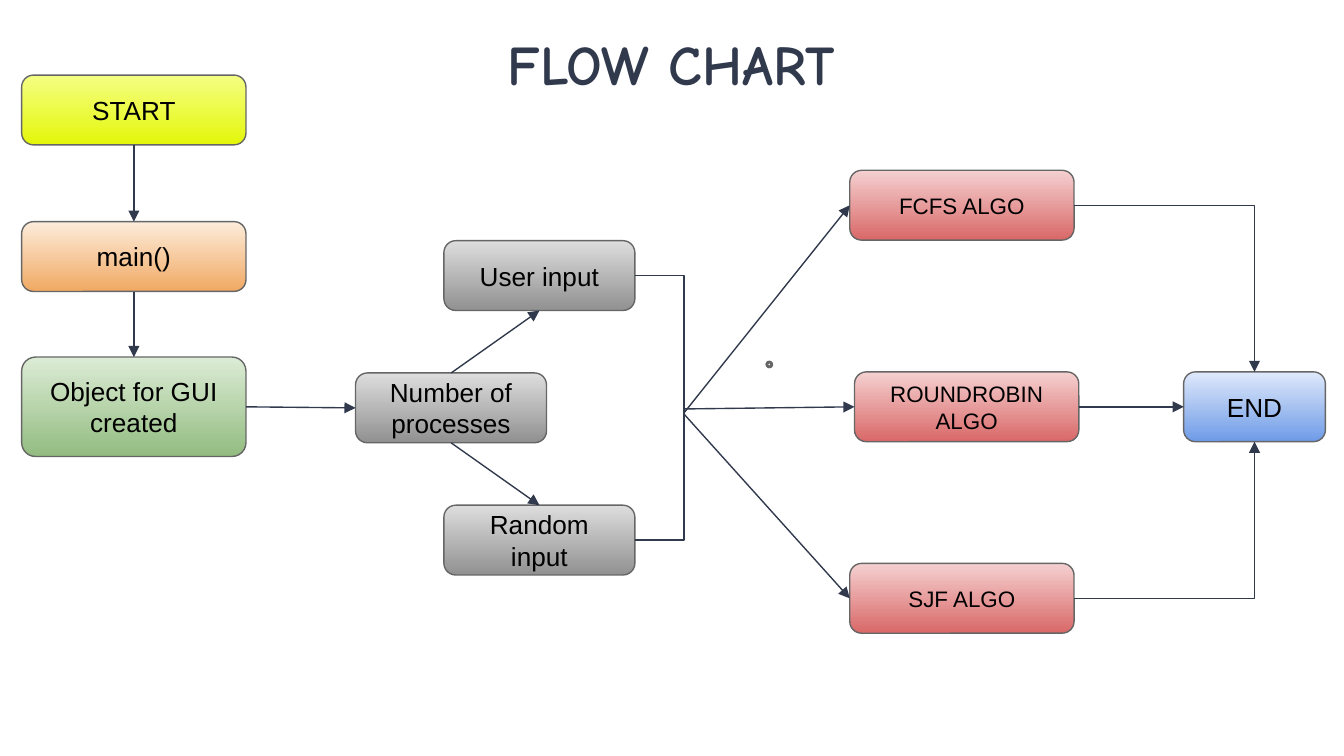
from lxml import etree
from pptx import Presentation
from pptx.dml.color import RGBColor
from pptx.enum.shapes import MSO_CONNECTOR, MSO_SHAPE
from pptx.enum.text import MSO_ANCHOR, PP_ALIGN
from pptx.oxml.ns import qn
from pptx.util import Cm, Pt

ROUNDED = MSO_SHAPE.ROUNDED_RECTANGLE
DONUT = MSO_SHAPE.DONUT
STRAIGHT = MSO_CONNECTOR.STRAIGHT
ELBOW = MSO_CONNECTOR.ELBOW
MIDDLE = MSO_ANCHOR.MIDDLE
TOP_ANCHOR = MSO_ANCHOR.TOP
CENTER = PP_ALIGN.CENTER

TOP, LEFT, BOTTOM, RIGHT = range(4)
INK = "31394D"
OUTLINE = "666666"
YELLOW = ("F5FF83", "E3F609")
ORANGE = ("FDECDB", "F0A963")
GREEN = ("DCECD5", "93BC81")
GRAY = ("DDDDDD", "919191")
RED = ("F5D0D0", "D96868")
BLUE = ("DFE9FB", "6E9BE7")

STEP_WIDTH = 4.24
INPUT_WIDTH = 3.61
STEP_HEIGHT = 1.32
HUB_X = 12.93


def rgb(value):
    return RGBColor.from_string(value)


def write(holder, text, size=14, font="Arial", color="000000", bold=False, anchor=MIDDLE):
    frame = holder.text_frame
    frame.word_wrap = True
    frame.vertical_anchor = anchor
    frame.margin_left = frame.margin_right = Cm(0.25)
    frame.margin_top = frame.margin_bottom = Cm(0.25)
    paragraph = frame.paragraphs[0]
    paragraph.alignment = CENTER
    run = paragraph.add_run()
    run.text = text
    run.font.size = Pt(size)
    run.font.name = font
    run.font.bold = bold
    run.font.color.rgb = rgb(color)


def add_outlined(slide, preset, left, top, width, height):
    shape = slide.shapes.add_shape(preset, Cm(left), Cm(top), Cm(width), Cm(height))
    shape.shadow.inherit = False
    shape.line.color.rgb = rgb(OUTLINE)
    shape.line.width = Pt(0.75)
    return shape


def add_step(slide, text, left, top, colors, width=STEP_WIDTH, height=STEP_HEIGHT, size=14):
    step = add_outlined(slide, ROUNDED, left, top, width, height)
    step.adjustments[0] = 0.17 if height == STEP_HEIGHT else 0.14
    step.fill.gradient()
    step.fill.gradient_angle = 270
    for stop, color in zip(step.fill.gradient_stops, colors):
        stop.color.rgb = rgb(color)
    write(step, text, size=size)
    return step


def add_dot(slide):
    dot = add_outlined(slide, DONUT, 14.48, 6.83, 0.12, 0.12)
    dot.fill.solid()
    dot.fill.fore_color.rgb = rgb("626B73")


def side_point(step, side):
    middle_x = step.left + step.width // 2
    middle_y = step.top + step.height // 2
    return {
        TOP: (middle_x, step.top),
        LEFT: (step.left, middle_y),
        BOTTOM: (middle_x, step.top + step.height),
        RIGHT: (step.left + step.width, middle_y),
    }[side]


def hub_point(y):
    return Cm(HUB_X), Cm(y)


def add_link(slide, start, end, bent=False, arrow=True):
    link = slide.shapes.add_connector(ELBOW if bent else STRAIGHT, *start, *end)
    link.line.color.rgb = rgb(INK)
    link.line.width = Pt(0.75)
    properties = link._element.spPr
    if bent:
        properties.find(qn("a:prstGeom")).set("prst", "bentConnector2")
    if arrow:
        etree.SubElement(properties.find(qn("a:ln")), qn("a:tailEnd"), type="triangle")
    etree.SubElement(properties, qn("a:effectLst"))


def add_title(slide):
    title = slide.shapes.add_textbox(Cm(7.87), Cm(0.3), Cm(9.65), Cm(1.8))
    title.fill.solid()
    title.fill.fore_color.rgb = rgb("FFFFFF")
    write(title, "FLOW CHART", size=30, font="Comic Neue", color=INK, bold=True, anchor=TOP_ANCHOR)


def main():
    deck = Presentation()
    deck.slide_width, deck.slide_height = Cm(25.4), Cm(14.29)
    slide = deck.slides.add_slide(deck.slide_layouts[6])

    start = add_step(slide, "START", 0.41, 1.42, YELLOW)
    entry = add_step(slide, "main()", 0.41, 4.19, ORANGE)
    gui = add_step(slide, "Object for GUI created", 0.41, 6.75, GREEN, height=1.88)
    processes = add_step(slide, "Number of processes", 6.72, 7.05, GRAY, INPUT_WIDTH)
    user = add_step(slide, "User input", 8.39, 4.55, GRAY, INPUT_WIDTH)
    random = add_step(slide, "Random input", 8.39, 9.55, GRAY, INPUT_WIDTH)
    fcfs = add_step(slide, "FCFS ALGO", 16.06, 3.22, RED, size=12)
    round_robin = add_step(slide, "ROUNDROBIN ALGO", 16.15, 7.03, RED, size=12)
    sjf = add_step(slide, "SJF ALGO", 16.06, 10.65, RED, size=12)
    finish = add_step(slide, "END", 22.37, 7.03, BLUE, 2.68)

    for source, source_side, target, target_side in (
        (start, BOTTOM, entry, TOP),
        (entry, BOTTOM, gui, TOP),
        (gui, RIGHT, processes, LEFT),
        (processes, TOP, user, BOTTOM),
        (processes, BOTTOM, random, TOP),
        (round_robin, RIGHT, finish, LEFT),
    ):
        add_link(slide, side_point(source, source_side), side_point(target, target_side))

    for source, hub_y in ((user, 8.23), (random, 7.14)):
        add_link(slide, side_point(source, RIGHT), hub_point(hub_y), bent=True, arrow=False)

    for hub_y, algorithm in ((7.8, fcfs), (7.73, round_robin), (7.83, sjf)):
        add_link(slide, hub_point(hub_y), side_point(algorithm, LEFT))

    for algorithm, finish_side in ((fcfs, TOP), (sjf, BOTTOM)):
        add_link(slide, side_point(algorithm, RIGHT), side_point(finish, finish_side), bent=True)

    add_dot(slide)
    add_title(slide)
    deck.save("out.pptx")


if __name__ == "__main__":
    main()
